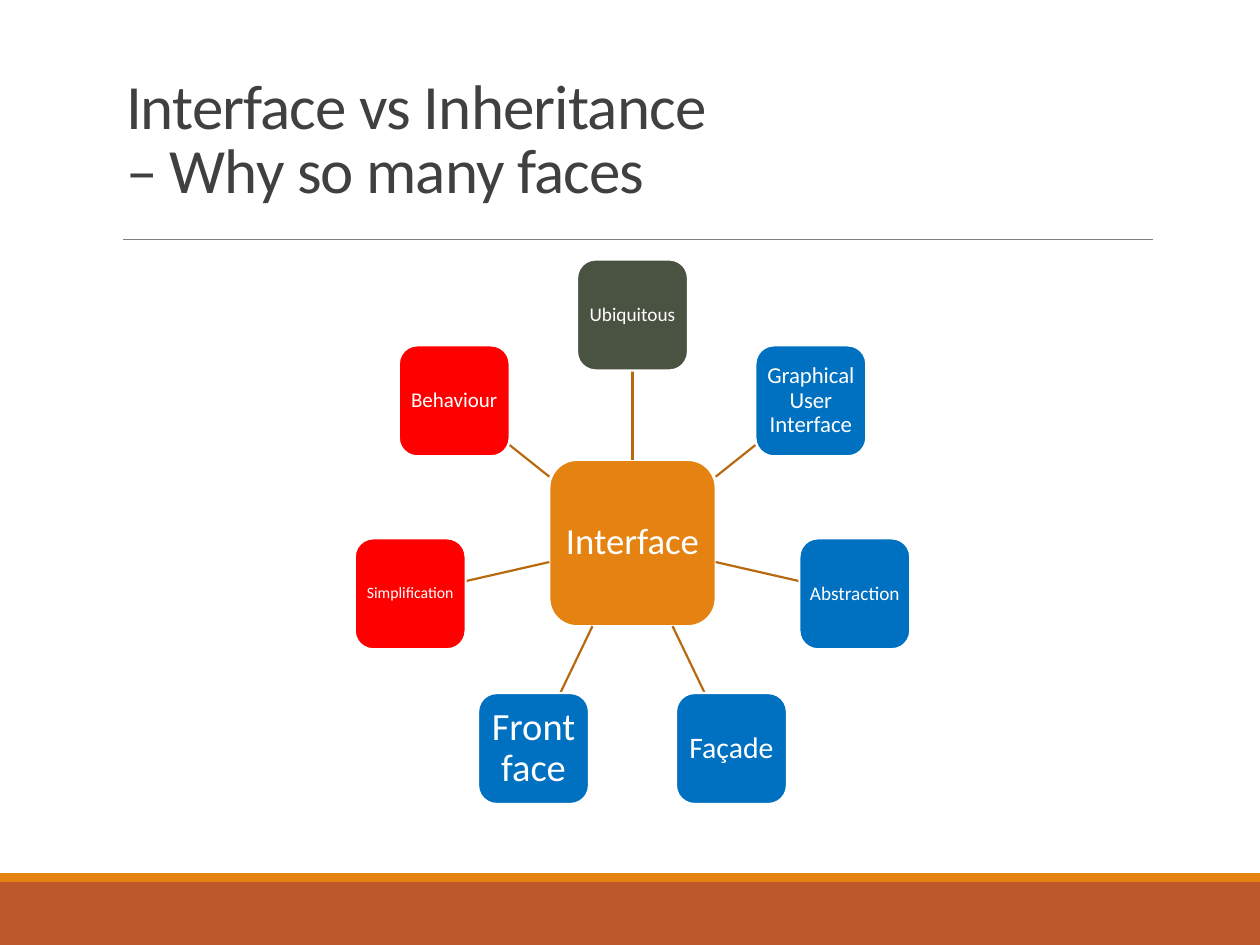
import math
from lxml import etree
from pptx import Presentation
from pptx import util as u
from pptx.dml.color import RGBColor
from pptx.enum import shapes, text
from pptx.oxml.ns import qn

COLORS = {
    "rust": "BD582C", "orange": "E48312", "rule": "808080", "title": "404040",
    "spoke": "B7690E", "olive": "4A5242", "blue": "0070C0", "red": "FF0000",
    "white": "FFFFFF",
}
CX, CY, RADIUS = 5.02, 4.31, 1.81
HUB, NODE = 1.32, 0.88
NODES = [
    ("Ubiquitous", "olive", 11, 0.03),
    ("Graphical User Interface", "blue", 13, 0.04),
    ("Abstraction", "blue", 11, 0.03),
    ("Façade", "blue", 17, 0.05),
    ("Front face", "blue", 22, 0.06),
    ("Simplification", "red", 9, 0.03),
    ("Behaviour", "red", 12, 0.03),
]

prs = Presentation()
prs.slide_width, prs.slide_height = u.Inches(10), u.Inches(7.5)
s = prs.slides.add_slide(prs.slide_layouts[5])


def add_line(x1, y1, x2, y2, color, width):
    c = s.shapes.add_connector(shapes.MSO_CONNECTOR.STRAIGHT,
                               *map(u.Inches, (x1, y1, x2, y2)))
    c.line.color.rgb = RGBColor.from_string(COLORS[color])
    c.line.width = u.Pt(width)
    etree.SubElement(c._element.spPr, qn("a:effectLst"))


def add_node(x, y, size, label, color, pt, inset):
    sp = s.shapes.add_shape(shapes.MSO_SHAPE.ROUNDED_RECTANGLE,
                            *map(u.Inches, (x - size / 2, y - size / 2, size, size)))
    sp.shadow.inherit = False
    sp.fill.solid()
    sp.fill.fore_color.rgb = RGBColor.from_string(COLORS[color])
    sp.line.color.rgb = RGBColor.from_string(COLORS["white"])
    sp.line.width = u.Pt(1.25)
    tf = sp.text_frame
    frame = {"word_wrap": True, "vertical_anchor": text.MSO_ANCHOR.MIDDLE}
    for side in ("left", "top", "right", "bottom"):
        frame[f"margin_{side}"] = u.Inches(inset)
    for key, value in frame.items():
        setattr(tf, key, value)
    p = tf.paragraphs[0]
    p.alignment, p.line_spacing = text.PP_ALIGN.CENTER, 0.9
    r = p.add_run()
    r.text = label
    for key, value in {"name": "Calibri", "size": u.Pt(pt)}.items():
        setattr(r.font, key, value)
    r.font.color.rgb = RGBColor.from_string(COLORS["white"])


for top, height, color in [(7, 0.5, "rust"), (6.93, 0.07, "orange")]:
    sp = s.shapes.add_shape(shapes.MSO_SHAPE.RECTANGLE,
                            *map(u.Inches, (0, top, 10, height)))
    sp.shadow.inherit = False
    sp.fill.solid()
    sp.fill.fore_color.rgb = RGBColor.from_string(COLORS[color])
    sp.line.fill.background()
add_line(0.98, 1.9, 9.15, 1.9, "rule", 0.5)

title = s.shapes.title
box = {"left": 0.9, "top": 0.31, "width": 8.25, "height": 1.38}
for key, value in box.items():
    setattr(title, key, u.Inches(value))
tf = title.text_frame
frame = {"word_wrap": True, "auto_size": text.MSO_AUTO_SIZE.NONE,
         "vertical_anchor": text.MSO_ANCHOR.BOTTOM}
for key, value in frame.items():
    setattr(tf, key, value)
p = tf.paragraphs[0]
p.alignment, p.line_spacing = text.PP_ALIGN.LEFT, 0.85
for i, line in enumerate(["Interface vs Inheritance ", "– Why so many faces"]):
    if i:
        p.add_line_break()
    r = p.add_run()
    r.text = line
    for key, value in {"name": "Calibri", "size": u.Pt(36)}.items():
        setattr(r.font, key, value)
    r.font.color.rgb = RGBColor.from_string(COLORS["title"])
    r._r.get_or_add_rPr().set("spc", "-50")

add_node(CX, CY, HUB, "Interface", "orange", 21, 0.06)
for i, (label, color, pt, inset) in enumerate(NODES):
    angle = 2 * math.pi * i / len(NODES)
    dx, dy = math.sin(angle), -math.cos(angle)
    reach = max(abs(dx), abs(dy))
    start, end = HUB / 2 / reach, RADIUS - NODE / 2 / reach
    add_line(CX + start * dx, CY + start * dy, CX + end * dx, CY + end * dy, "spoke", 1.25)
    add_node(CX + RADIUS * dx, CY + RADIUS * dy, NODE, label, color, pt, inset)

prs.save("out.pptx")
